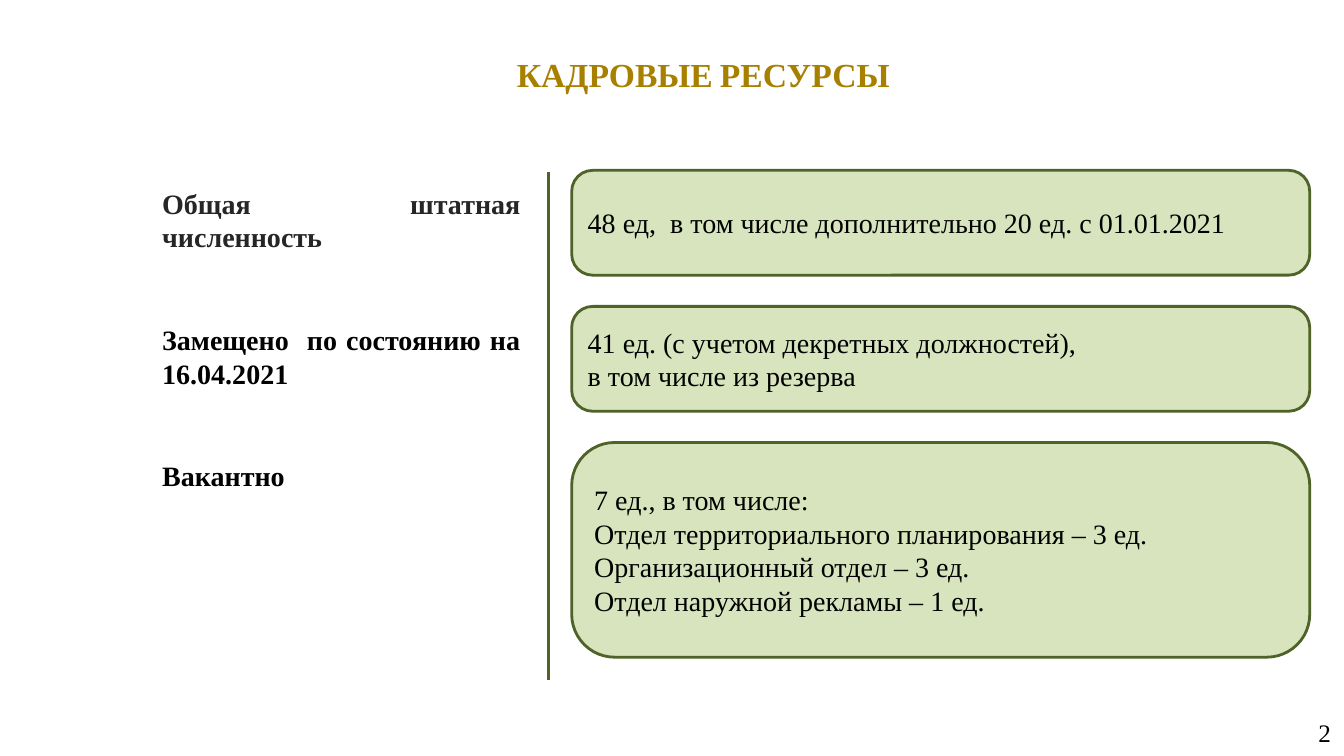
import pptx
import pptx.util
import pptx.dml.color
import pptx.enum.shapes
import pptx.enum.text
import pptx.oxml.ns
import lxml.etree

Inches = pptx.util.Inches
Align = pptx.enum.text.PP_ALIGN
Anchor = pptx.enum.text.MSO_ANCHOR

ROWS = [
    ("Общая штатная численность", "262626", 0.77, 1.04,
     ["48 ед,  в том числе дополнительно 20 ед. с 01.01.2021"]),
    ("Замещено  по состоянию на 16.04.2021", "000000", 0.77, 1.04,
     ["41 ед. (с учетом декретных должностей),", "в том числе из резерва"]),
    ("Вакантно", "000000", 0.44, 2.13,
     ["7 ед., в том числе:",
      "Отдел территориального планирования – 3 ед.",
      "Организационный отдел – 3 ед.",
      "Отдел наружной рекламы – 1 ед."]),
]
FIRST_ROW_TOP = 1.69
ROW_PITCH = 1.35
LABEL_OFFSET = 0.11


def color(value):
    return pptx.dml.color.RGBColor.from_string(value)


class StaffPage:
    font = "Times New Roman"
    gold = "A88000"
    olive = "4F6228"
    pale_green = "D7E4BD"
    black = "000000"

    def __init__(self, deck):
        self.page = deck.slides.add_slide(deck.slide_layouts[5])

    def fill_text(self, box, lines, ink, bold=False, align=Align.LEFT,
                  anchor=Anchor.TOP, insets=(0.1, 0.05)):
        frame = box.text_frame
        frame.word_wrap = True
        frame.auto_size = pptx.enum.text.MSO_AUTO_SIZE.NONE
        frame.vertical_anchor = anchor
        frame.margin_left = frame.margin_right = Inches(insets[0])
        frame.margin_top = frame.margin_bottom = Inches(insets[1])
        for index, spans in enumerate(lines):
            para = frame.add_paragraph() if index else frame.paragraphs[0]
            para.alignment = align
            para.line_spacing = 1.0
            para.space_before = pptx.util.Pt(0)
            for text, size in spans:
                span = para.add_run()
                span.text = text
                span.font.name = self.font
                span.font.size = pptx.util.Pt(size)
                span.font.bold = bold
                span.font.color.rgb = color(ink)

    def title(self, spans, left, top, width, height):
        box = self.page.shapes.title
        box.left, box.top = Inches(left), Inches(top)
        box.width, box.height = Inches(width), Inches(height)
        self.fill_text(box, [spans], self.gold, True, Align.CENTER,
                       insets=(0.13, 0.07))

    def text(self, text, left, top, width, height, size=20, **style):
        box = self.page.shapes.add_textbox(
            Inches(left), Inches(top), Inches(width), Inches(height))
        self.fill_text(box, [[(text, size)]], **style)

    def panel(self, lines, left, top, width, height):
        box = self.page.shapes.add_shape(
            pptx.enum.shapes.MSO_SHAPE.ROUNDED_RECTANGLE,
            Inches(left), Inches(top), Inches(width), Inches(height))
        box.adjustments[0] = 0.2
        box.shadow.inherit = False
        box.fill.solid()
        box.fill.fore_color.rgb = color(self.pale_green)
        box.line.color.rgb = color(self.olive)
        box.line.width = pptx.util.Pt(2)
        self.fill_text(box, [[(line, 20)] for line in lines], self.black,
                       anchor=Anchor.MIDDLE)

    def divider(self, x, top, bottom):
        line = self.page.shapes.add_connector(
            pptx.enum.shapes.MSO_CONNECTOR.STRAIGHT,
            Inches(x), Inches(top), Inches(x), Inches(bottom))
        line.line.color.rgb = color(self.olive)
        line.line.width = pptx.util.Pt(2)
        lxml.etree.SubElement(line._element.spPr,
                              pptx.oxml.ns.qn("a:effectLst"))


def main():
    deck = pptx.Presentation()
    deck.slide_width, deck.slide_height = Inches(13.33), Inches(7.5)
    staff = StaffPage(deck)
    staff.title([("КАДРОВЫЕ", 24), (" ", 20), ("РЕСУРСЫ", 24)],
                1.65, 0.46, 10.65, 0.54)
    staff.divider(5.44, 1.71, 6.75)
    for index, (label, ink, label_height, height, lines) in enumerate(ROWS):
        top = FIRST_ROW_TOP + index * ROW_PITCH
        staff.text(label, 1.51, top + LABEL_OFFSET, 3.75, label_height,
                   ink=ink, bold=True, align=Align.JUSTIFY)
        staff.panel(lines, 5.67, top, 7.32, height)
    staff.text("2", 10.22, 7.07, 3.11, 0.4, size=18, ink=staff.black,
               align=Align.RIGHT, anchor=Anchor.MIDDLE, insets=(0.13, 0.07))
    deck.save("out.pptx")


if __name__ == "__main__":
    main()
